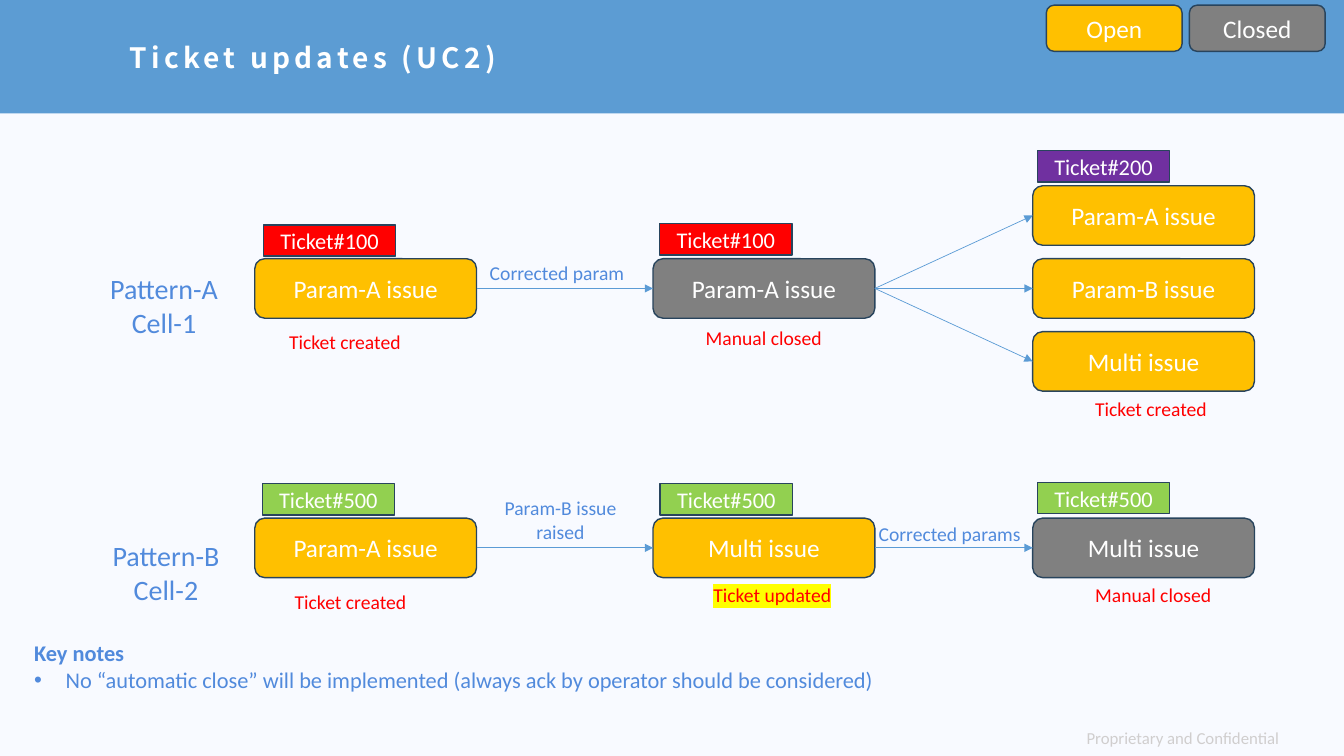
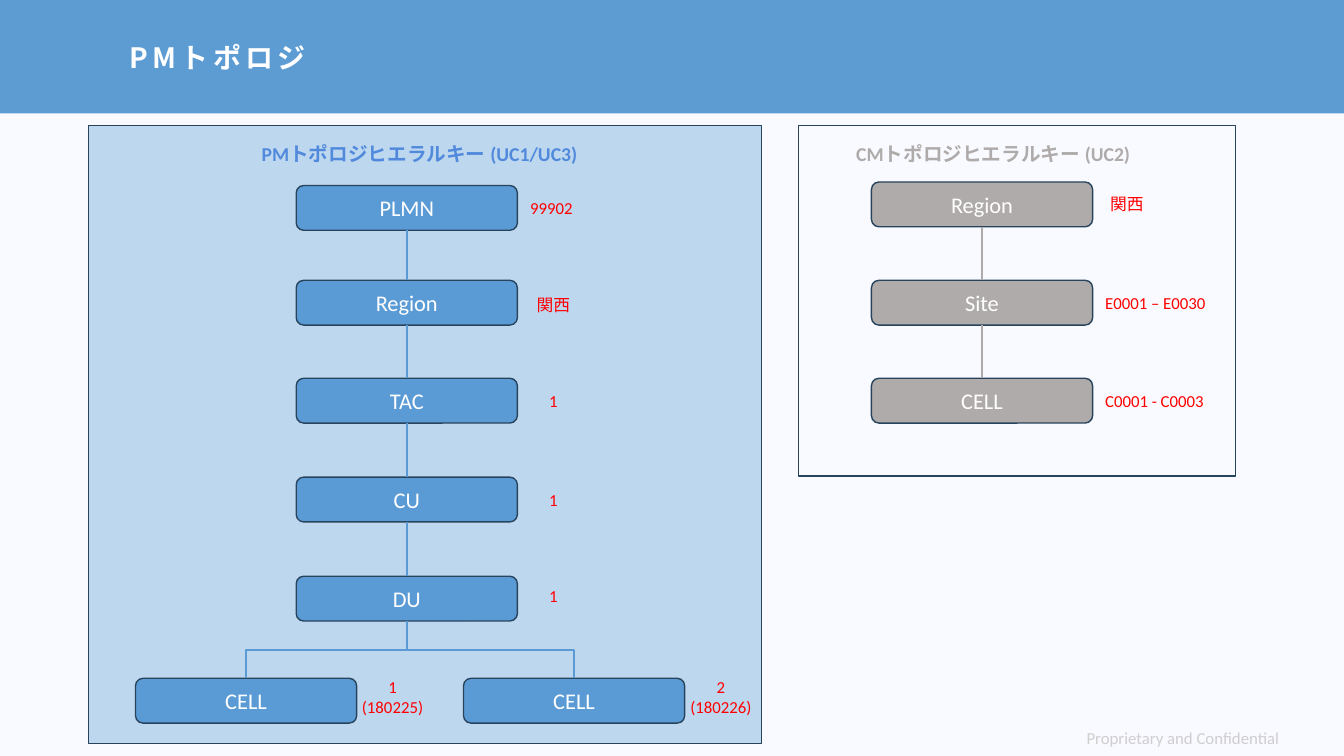
"""Builds two slides: the ticket update flows and the topology hierarchies."""
from itertools import pairwise

from lxml import etree
from pptx import Presentation
from pptx.dml.color import RGBColor
from pptx.enum.shapes import MSO_CONNECTOR, MSO_SHAPE
from pptx.enum.text import MSO_ANCHOR, PP_ALIGN
from pptx.oxml.ns import qn
from pptx.util import Pt

RECT, ROUNDED = MSO_SHAPE.RECTANGLE, MSO_SHAPE.ROUNDED_RECTANGLE
STRAIGHT, ELBOW = MSO_CONNECTOR.STRAIGHT, MSO_CONNECTOR.ELBOW
LEFT, CENTER = PP_ALIGN.LEFT, PP_ALIGN.CENTER
MIDDLE = MSO_ANCHOR.MIDDLE
TOP_SIDE, LEFT_SIDE, BOTTOM_SIDE, RIGHT_SIDE = range(4)

BODY_FONT, TITLE_FONT = "Calibri", "Noto Sans CJK JP"
PAGE, BAND, WHITE, FOOTER = "F8FAFF", "5C9CD3", "FFFFFF", "D0CECE"
OUTLINE, BLUE, PALE_BLUE, INK, SILVER = "28445D", "5B9BD5", "BDD7EE", "518ADC", "AFABAB"
OPEN, CLOSED = "FFC000", "808080"
RED, PURPLE, GREEN, YELLOW = "FF0000", "7030A0", "92D050", "FFFF00"

ISSUE_W, ISSUE_H = 158.4, 42.5
NODE_W, NODE_H = 158, 32


def rgb(value):
    """Return the colour for a hex string."""
    return RGBColor.from_string(value)


def add_run(paragraph, text, size, color, bold=False, font=BODY_FONT):
    """Add one styled run to a paragraph."""
    run = paragraph.add_run()
    run.text = text
    run.font.size, run.font.bold, run.font.name = Pt(size), bold, font
    run.font.color.rgb = rgb(color)
    east_asian = etree.Element(qn("a:ea"), typeface=TITLE_FONT)
    run.font._element.find(qn("a:latin")).addnext(east_asian)
    return run


def add_label(slide, lines, left, top, width, size, color, align=CENTER, bold=False):
    """Add a text box with one paragraph a line."""
    box = slide.shapes.add_textbox(Pt(left), Pt(top), Pt(width),
                                   Pt(len(lines) * size * 1.22 + 7.2))
    frame = box.text_frame
    frame.word_wrap = True
    for index, line in enumerate(lines):
        paragraph = frame.add_paragraph() if index else frame.paragraphs[0]
        paragraph.alignment = align
        add_run(paragraph, line, size, color, bold)
    return frame


def add_box(slide, kind, text, left, top, width, height, fill=None, size=18, line=OUTLINE):
    """Add a preset shape with centred white text."""
    shape = slide.shapes.add_shape(kind, Pt(left), Pt(top), Pt(width), Pt(height))
    shape.shadow.inherit = False
    if fill:
        shape.fill.solid()
        shape.fill.fore_color.rgb = rgb(fill)
    else:
        shape.fill.background()
    if line:
        shape.line.color.rgb = rgb(line)
        shape.line.width = Pt(1)
    else:
        shape.line.fill.background()
    if text:
        shape.text_frame.vertical_anchor = MIDDLE
        paragraph = shape.text_frame.paragraphs[0]
        paragraph.alignment = CENTER
        add_run(paragraph, text, size, WHITE)
    return shape


def style_connector(connector, color, width, arrow=False):
    """Set a connector's line and remove its shadow."""
    connector.line.color.rgb = rgb(color)
    connector.line.width = Pt(width)
    properties = connector._element.spPr
    if arrow:
        etree.SubElement(properties.find(qn("a:ln")), qn("a:tailEnd"), type="triangle")
    etree.SubElement(properties, qn("a:effectLst"))


def join(slide, start, start_side, end, end_side, color, width, arrow=False):
    """Join two shapes with a straight connector."""
    connector = slide.shapes.add_connector(STRAIGHT, 0, 0, 0, 0)
    connector.begin_connect(start, start_side)
    connector.end_connect(end, end_side)
    style_connector(connector, color, width, arrow)


def add_branch(slide, parent, child, color):
    """Draw an elbow from a parent's bottom down to a child's top."""
    start_x, end_x = (shape.left + shape.width // 2 for shape in (parent, child))
    start_y, end_y = parent.top + parent.height, child.top
    center_x, center_y = (start_x + end_x) // 2, (start_y + end_y) // 2
    half_drop, half_span = (end_y - start_y) // 2, abs(end_x - start_x) // 2
    to_right = end_x > start_x
    reach = -half_drop if to_right else half_drop
    connector = slide.shapes.add_connector(ELBOW, center_x - reach, center_y - half_span,
                                           center_x + reach, center_y + half_span)
    frame = connector._element.spPr.find(qn("a:xfrm"))
    frame.set("rot", str((270 if to_right else 90) * 60000))
    style_connector(connector, color, 1.5)


def add_slide(prs, title):
    """Add a slide with the title band and the footer."""
    slide = prs.slides.add_slide(prs.slide_layouts[6])
    add_box(slide, RECT, None, 0, 0, 960, 81, BAND, line=None)
    add_label(slide, ["Proprietary and Confidential"], 769, 516.2, 190, 12, FOOTER, LEFT)
    box = slide.shapes.add_textbox(Pt(85.7), Pt(13), Pt(849.6), Pt(59))
    box.text_frame.word_wrap = True
    box.text_frame.vertical_anchor = MIDDLE
    paragraph = box.text_frame.paragraphs[0]
    paragraph.line_spacing = 0.9
    run = add_run(paragraph, title, 20, WHITE, True, TITLE_FONT)
    run.font._element.set("spc", "300")
    return slide


def add_issue(slide, text, left, top, fill):
    """Add an issue box of the flow."""
    return add_box(slide, ROUNDED, text, left, top, ISSUE_W, ISSUE_H, fill)


def add_key_notes(slide):
    """Add the heading and the bulleted note."""
    frame = add_label(slide, ["Key notes"], 17.3, 453, 758, 16, INK, LEFT, True)
    note = frame.add_paragraph()
    properties = note._p.get_or_add_pPr()
    properties.set("marL", str(Pt(22.5)))
    properties.set("indent", str(-Pt(22.5)))
    etree.SubElement(properties, qn("a:buFont"), typeface="Arial")
    etree.SubElement(properties, qn("a:buChar"), char="•")
    add_run(note, "No “automatic close” will be implemented "
                  "(always ack by operator should be considered)", 16, INK)


def build_ticket_updates(prs):
    """Build the ticket update flows."""
    slide = add_slide(prs, "Ticket updates (UC2)")
    for text, left, fill in (("Open", 747.4, OPEN), ("Closed", 849.6, CLOSED)):
        add_box(slide, ROUNDED, text, left, 3.7, 97, 33, fill)

    first, second, third = 182, 466.5, 737.7
    row_a, row_b, step = 184.8, 370.1, 52.1
    created = add_issue(slide, "Param-A issue", first, row_a, OPEN)
    closed = add_issue(slide, "Param-A issue", second, row_a, CLOSED)
    followers = [add_issue(slide, text, third, row_a + offset * step, OPEN)
                 for offset, text in ((-1, "Param-A issue"), (0, "Param-B issue"),
                                      (1, "Multi issue"))]
    pattern_b = [add_issue(slide, text, left, row_b, fill)
                 for text, left, fill in (("Param-A issue", first, OPEN),
                                          ("Multi issue", second, OPEN),
                                          ("Multi issue", third, CLOSED))]
    links = [(created, closed), *((closed, issue) for issue in followers),
             *pairwise(pattern_b)]
    for start, end in links:
        join(slide, start, RIGHT_SIDE, end, LEFT_SIDE, BLUE, 0.5, arrow=True)

    for text, left, top, fill in (
            ("Ticket#100", 188.2, 160.6, RED), ("Ticket#100", 471.2, 159.8, RED),
            ("Ticket#200", 741, 107.7, PURPLE), ("Ticket#500", 187.3, 345.6, GREEN),
            ("Ticket#500", 471.6, 345.6, GREEN), ("Ticket#500", 741, 344.6, GREEN)):
        add_box(slide, RECT, text, left, top, 94.5, 22.4, fill, 16)

    for text, left, top in (
            ("Ticket created", 199.4, 232), ("Manual closed", 497, 229),
            ("Ticket created", 775.2, 279.6), ("Ticket created", 203.4, 417.6),
            ("Manual closed", 775.2, 412.6)):
        add_label(slide, [text], left, top, 136.8, 14, RED, LEFT)
    updated = add_label(slide, ["Ticket updated"], 502.4, 412.6, 115, 14, RED, LEFT)
    run_properties = updated.paragraphs[0].runs[0].font._element
    highlight = etree.Element(qn("a:highlight"))
    etree.SubElement(highlight, qn("a:srgbClr"), val=YELLOW)
    run_properties.find(qn("a:solidFill")).addnext(highlight)

    for lines, left, top, size in (
            (["Corrected param"], 329.5, 182.8, 14),
            (["Corrected params"], 610, 369.3, 14),
            (["Param-B issue", "raised"], 332, 350.8, 14),
            (["Pattern-A", "Cell-1"], 48.8, 190.4, 20),
            (["Pattern-B", "Cell-2"], 50.2, 381.4, 20)):
        add_label(slide, lines, left, top, 136.8, size, INK)
    add_key_notes(slide)


def add_chain(slide, names, left, tops, color):
    """Add a column of joined nodes and return the last one."""
    nodes = [add_box(slide, ROUNDED, name, left, top, NODE_W, NODE_H, color, 16)
             for name, top in zip(names, tops)]
    for upper, lower in pairwise(nodes):
        join(slide, upper, BOTTOM_SIDE, lower, TOP_SIDE, color, 1.5)
    return nodes[-1]


def build_topology(prs):
    """Build the two topology hierarchies."""
    slide = add_slide(prs, "PMトポロジ")
    add_box(slide, RECT, None, 570.2, 89.5, 312.4, 250.7)
    add_box(slide, RECT, None, 63.3, 89.7, 480.8, 441.6, PALE_BLUE)
    for text, left, color in (("PMトポロジヒエラルキー (UC1/UC3)", 179.8, INK),
                              ("CMトポロジヒエラルキー (UC2)", 604.5, SILVER)):
        add_label(slide, [text], left, 97.9, 330.5, 14, color, LEFT, True)

    unit = add_chain(slide, ("PLMN", "Region", "TAC", "CU", "DU"), 211.6,
                     (132.5, 200.2, 270.2, 340.8, 411.6), BLUE)
    for left in (96.8, 331.1):
        cell = add_box(slide, ROUNDED, "CELL", left, 484.5, NODE_W, NODE_H, BLUE, 16)
        add_branch(slide, unit, cell, BLUE)
    add_chain(slide, ("Region", "Site", "CELL"), 622.5, (130, 200.2, 270.2), SILVER)

    for lines, left, top, width in (
            (["99902"], 369.4, 137.6, 49), (["関西"], 370.8, 206.8, 49),
            (["1"], 370.8, 275.8, 49), (["1"], 370.8, 346.4, 49),
            (["1"], 370.8, 414.8, 49), (["1", "(180225)"], 246.2, 480, 68.4),
            (["2", "(180226)"], 480.8, 480, 68.4), (["関西"], 780.5, 134.8, 49)):
        add_label(slide, lines, left, top, width, 12, RED)
    for text, top in (("E0001 – E0030", 205.4), ("C0001 - C0003", 275.4)):
        add_label(slide, [text], 782.3, top, 152, 12, RED, LEFT)


def main():
    """Create and save the presentation."""
    prs = Presentation()
    prs.slide_width, prs.slide_height = Pt(960), Pt(540)
    background = prs.slide_master.background.fill
    background.solid()
    background.fore_color.rgb = rgb(PAGE)
    build_ticket_updates(prs)
    build_topology(prs)
    prs.save("out.pptx")


if __name__ == "__main__":
    main()
